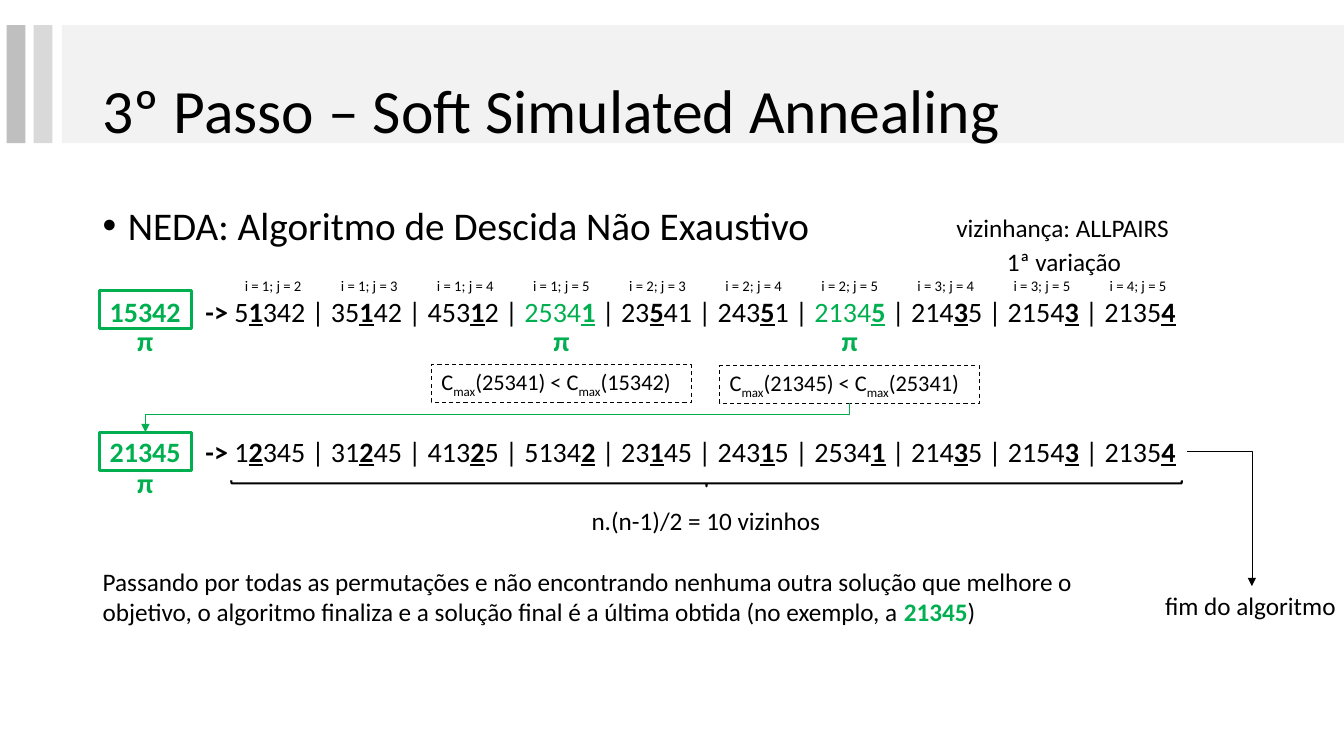
import itertools
from dataclasses import dataclass
from typing import NamedTuple

import lxml.etree
import pptx
import pptx.dml.color
import pptx.enum.dml
import pptx.enum.shapes
import pptx.enum.text
import pptx.oxml.ns
import pptx.util

SLIDE_WIDTH, SLIDE_HEIGHT = pptx.util.Inches(13.333), pptx.util.Inches(7.5)
COLUMNS, ROWS = 40, 30
BLACK, GREEN = "000000", "00B050"
LEFT = pptx.enum.text.PP_ALIGN.LEFT
CENTER = pptx.enum.text.PP_ALIGN.CENTER
TOP = pptx.enum.text.MSO_ANCHOR.TOP
MIDDLE = pptx.enum.text.MSO_ANCHOR.MIDDLE
PRESETS = pptx.enum.shapes.MSO_SHAPE
FIRST_CENTER, PITCH = 8.13, 2.86
START_CENTER = 4.32
PI_WIDTH = 1.44


class Place(NamedTuple):
    column: float
    row: float
    width: float
    height: float


class Span(NamedTuple):
    text: str
    size: float = 18
    color: str = BLACK
    bold: bool = False
    underline: bool = False
    subscript: bool = False


@dataclass
class Caption:
    place: Place
    spans: list[Span]
    align: int = LEFT
    anchor: int = TOP
    wrap: bool = True
    spacing: float = 1


@dataclass
class SearchRow:
    start: str
    improving: tuple[str, ...]
    text_row: float
    frame_row: float
    pi_row: float


class Band(NamedTuple):
    column: float
    width: float
    color: str


BANDS = [Band(1.84, 38.16, "F2F2F2"), Band(1, 0.56, "D9D9D9"), Band(0.2, 0.56, "BFBFBF")]
SEARCHES = [
    SearchRow("15342", ("25341", "21345"), 11.48, 11.52, 12.64),
    SearchRow("21345", (), 17.04, 17.16, 18.28),
]
COMPARISONS = [
    (Place(12.84, 14.48, 7.74, 1.48), "25341", "15342"),
    (Place(21.42, 14.52, 7.74, 1.48), "21345", "25341"),
]
CAPTIONS = [
    Caption(Place(2.76, 1.6, 34.5, 5.8), [Span("3º Passo – Soft Simulated Annealing", 44)],
            anchor=MIDDLE, spacing=0.9),
    Caption(Place(34.38, 23.24, 5.73, 1.6), [Span("fim do algoritmo")], wrap=False),
    Caption(Place(2.76, 22.28, 30.3, 2.84), [
        Span("Passando por todas as permutações e não encontrando nenhuma outra solução "
             "que melhore o objetivo, o algoritmo finaliza e a solução final é a última "
             "obtida (no exemplo, a "),
        Span("21345", color=GREEN, bold=True), Span(")")]),
    Caption(Place(17.31, 19.84, 7.44, 1.6), [Span("n.(n-1)/2 = 10 vizinhos")]),
    Caption(Place(28.17, 8.24, 7.77, 1.6), [Span("vizinhança: ALLPAIRS")]),
    Caption(Place(27.78, 9.56, 7.77, 1.6), [Span("1ª variação")], CENTER),
]


def across(columns: float) -> int:
    return round(SLIDE_WIDTH * columns / COLUMNS)


def down(rows: float) -> int:
    return round(SLIDE_HEIGHT * rows / ROWS)


def spot(place: Place) -> tuple[int, int, int, int]:
    return across(place.column), down(place.row), across(place.width), down(place.height)


def rgb(color: str) -> pptx.dml.color.RGBColor:
    return pptx.dml.color.RGBColor.from_string(color)


def child(parent, tag: str, **attributes: str):
    node = lxml.etree.SubElement(parent, pptx.oxml.ns.qn(tag))
    for name, value in attributes.items():
        node.set(name, value)
    return node


def write(para, spans: list[Span]) -> None:
    for span in spans:
        run = para.add_run()
        run.text = span.text
        font = run.font
        font.name, font.size = "Calibri", pptx.util.Pt(span.size)
        font.bold, font.underline = span.bold, span.underline
        font.color.rgb = rgb(span.color)
        if span.subscript:
            font._element.set("baseline", "-25000")


def add_caption(page, caption: Caption):
    box = page.shapes.add_textbox(*spot(caption.place))
    frame = box.text_frame
    frame.word_wrap, frame.vertical_anchor = caption.wrap, caption.anchor
    para = frame.paragraphs[0]
    para.alignment, para.line_spacing = caption.align, caption.spacing
    write(para, caption.spans)
    return para


def add_figure(page, place: Place, preset=PRESETS.RECTANGLE, fill: str = "",
               line: str = "", weight: float = 1):
    shape = page.shapes.add_shape(preset, *spot(place))
    shape.shadow.inherit = False
    if fill:
        shape.fill.solid()
        shape.fill.fore_color.rgb = rgb(fill)
    else:
        shape.fill.background()
    if line:
        shape.line.color.rgb = rgb(line)
        shape.line.width = pptx.util.Pt(weight)
    else:
        shape.line.fill.background()
    return shape


def add_arrow(page, place: Place, color: str, preset: str, turn: int = 0, bend: int = 0) -> None:
    left, top, width, height = spot(place)
    arrow = page.shapes.add_connector(
        pptx.enum.shapes.MSO_CONNECTOR.ELBOW, left, top, left + width, top + height)
    arrow.line.color.rgb = rgb(color)
    arrow.line.width = pptx.util.Pt(0.5)
    child(arrow.line._get_or_add_ln(), "a:tailEnd", type="triangle")
    properties = arrow._element.spPr
    child(properties, "a:effectLst")
    properties.find(pptx.oxml.ns.qn("a:xfrm")).set("rot", str(turn * 60000))
    geometry = properties.find(pptx.oxml.ns.qn("a:prstGeom"))
    geometry.set("prst", preset)
    if bend:
        child(geometry.find(pptx.oxml.ns.qn("a:avLst")), "a:gd", name="adj1", fmla=f"val {bend}")


def add_pi(page, center: float, row: float) -> None:
    place = Place(center - PI_WIDTH / 2, row, PI_WIDTH, 1.76)
    add_caption(page, Caption(place, [Span("π", 20, GREEN, True)], CENTER))


def add_search(page, search: SearchRow) -> None:
    spans = [Span(search.start, 20, GREEN, True), Span("\t-> ", 20, bold=True)]
    current = search.start
    add_pi(page, START_CENTER, search.pi_row)
    for index, (i, j) in enumerate(itertools.combinations(range(1, 6), 2)):
        digits = list(current)
        digits[i - 1], digits[j - 1] = digits[j - 1], digits[i - 1]
        neighbour = "".join(digits)
        color = BLACK
        if neighbour in search.improving:
            current, color = neighbour, GREEN
            add_pi(page, FIRST_CENTER + index * PITCH, search.pi_row)
        if index:
            spans.append(Span(" | ", 20))
        spans += [Span(neighbour[:j - 1], 20, color), Span(neighbour[j - 1], 20, color, True, True)]
        if neighbour[j:]:
            spans.append(Span(neighbour[j:], 20, color))
    para = add_caption(page, Caption(Place(2.97, search.text_row, 32.37, 1.76), spans))
    tabs = child(para._p.get_or_add_pPr(), "a:tabLst")
    child(tabs, "a:tab", pos=str(across(2.85)), algn="l")
    add_figure(page, Place(2.97, search.frame_row, 2.73, 1.52), line=GREEN, weight=2.25)


def add_comparison(page, place: Place, better: str, worse: str) -> None:
    box = add_figure(page, place, line=BLACK, weight=0.75)
    box.line.dash_style = pptx.enum.dml.MSO_LINE.DASH
    box.text_frame.word_wrap = True
    para = box.text_frame.paragraphs[0]
    para.alignment = LEFT
    index = Span("max", 16, subscript=True)
    write(para, [Span("C", 16), index, Span(f"({better}) < C", 16), index, Span(f"({worse})", 16)])


def main() -> None:
    deck = pptx.Presentation()
    deck.slide_width, deck.slide_height = SLIDE_WIDTH, SLIDE_HEIGHT
    page = deck.slides.add_slide(deck.slide_layouts[6])
    for band in BANDS:
        add_figure(page, Place(band.column, 1, band.width, 4.68), fill=band.color)
    for caption in CAPTIONS:
        add_caption(page, caption)
    topic = add_caption(page, Caption(
        Place(2.76, 8, 35.28, 21.64),
        [Span("NEDA: Algoritmo de Descida Não Exaustivo", 28)], spacing=0.9))
    topic.space_before = pptx.util.Pt(10)
    settings = topic._p.get_or_add_pPr()
    settings.set("marL", str(across(0.75)))
    settings.set("indent", str(-across(0.75)))
    child(settings, "a:buFont", typeface="Arial")
    child(settings, "a:buChar", char="•")
    for index, (i, j) in enumerate(itertools.combinations(range(1, 6), 2)):
        place = Place(FIRST_CENTER + index * PITCH - 1.2, 10.78, 2.4, 1.16)
        add_caption(page, Caption(place, [Span(f"i = {i}; j = {j}", 10.5)], CENTER, wrap=False))
    for search in SEARCHES:
        add_search(page, search)
    for place, better, worse in COMPARISONS:
        add_comparison(page, place, better, worse)
    add_arrow(page, Place(35.34, 17.92, 1.92, 5.34), BLACK, "bentConnector2")
    add_arrow(page, Place(14.37, 2.6, 0.87, 27.94), GREEN, "bentConnector3", 90, 38500)
    brace = add_figure(page, Place(20.94, 0.32, 0.18, 37.72), PRESETS.LEFT_BRACE,
                       line=BLACK, weight=1.5)
    brace.rotation = 270
    deck.save("out.pptx")


if __name__ == "__main__":
    main()
